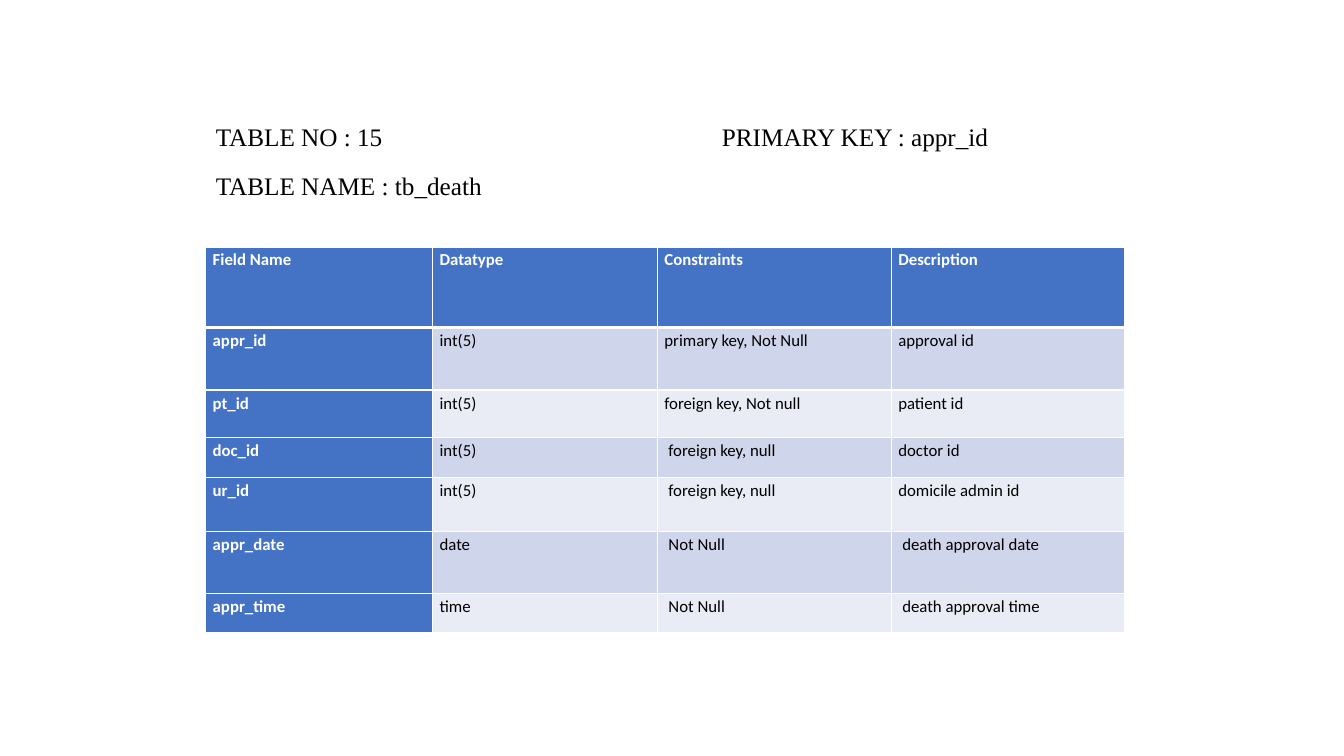
import pptx
import pptx.dml.color
import pptx.enum.text
import pptx.oxml
import pptx.oxml.ns
import pptx.util
from pptx.util import Inches

WHITE, BLACK, BLUE = "FFFFFF", "000000", "4472C4"
BANDS = ("CFD5EA", "E9EBF5")
COLS = (2.25, 2.23, 2.32, 2.31)
HEIGHTS = (0.8, 0.62, 0.47, 0.4, 0.53, 0.62, 0.39)
FIELDS = (
    ("Field Name", "Datatype", "Constraints", "Description"),
    ("appr_id", "int(5)", "primary key, Not Null", "approval id"),
    ("pt_id", "int(5)", "foreign key, Not null", "patient id"),
    ("doc_id", "int(5)", "foreign key, null", "doctor id"),
    ("ur_id", "int(5)", "foreign key, null", "domicile admin id"),
    ("appr_date", "date", "Not Null", "death approval date"),
    ("appr_time", "time", "Not Null", "death approval time"),
)
# Cells (row, column) whose text is set in a little
INSET = {(3, 2), (4, 2), (5, 2), (6, 2), (5, 3), (6, 3)}


def color(code):
    return pptx.dml.color.RGBColor.from_string(code)


def style(para, face, size, ink, bold=False):
    para.line_spacing = 1.15
    para.space_after = pptx.util.Pt(10)
    for run in para.runs:
        run.font.name = face
        run.font.size = pptx.util.Pt(size)
        run.font.bold = bold
        run.font.color.rgb = color(ink)


def add_tab(para, pos):
    """Give the paragraph one left tab stop."""
    para._p.get_or_add_pPr().append(pptx.oxml.parse_xml(
        f'<a:tabLst {pptx.oxml.ns.nsdecls("a")}>'
        f'<a:tab pos="{Inches(pos)}" algn="l"/></a:tabLst>'))


def add_edge(cell, side, width):
    cell._tc.get_or_add_tcPr().append(pptx.oxml.parse_xml(
        f'<a:ln{side} {pptx.oxml.ns.nsdecls("a")} w="{pptx.util.Pt(width)}">'
        f'<a:solidFill><a:srgbClr val="{WHITE}"/></a:solidFill></a:ln{side}>'))


def add_head(slide):
    title = slide.shapes.title
    title.left, title.top = Inches(2.04), Inches(1.11)
    title.width, title.height = Inches(8.36), Inches(0.94)
    frame = title.text_frame
    frame.word_wrap = True
    frame.auto_size = pptx.enum.text.MSO_AUTO_SIZE.NONE
    frame.vertical_anchor = pptx.enum.text.MSO_ANCHOR.TOP
    frame.text = "TABLE NO : 15\tPRIMARY KEY : appr_id\nTABLE NAME : tb_death"
    add_tab(frame.paragraphs[0], 5.02)
    for para in frame.paragraphs:
        para.alignment = pptx.enum.text.PP_ALIGN.LEFT
        style(para, "Times New Roman", 18, BLACK)


def fill_cell(cell, row, col, text):
    head = row == 0
    key = head or col == 0
    cell.margin_left = Inches(0.11 if (row, col) in INSET else 0.07)
    cell.margin_right = Inches(0.07)
    cell.margin_top = cell.margin_bottom = 0
    edges = {"L": 1, "R": 1, "T": 3 if row == 1 else 1, "B": 3 if head else 1}
    for side, width in edges.items():
        add_edge(cell, side, width)
    cell.fill.solid()
    cell.fill.fore_color.rgb = color(BLUE if key else BANDS[(row - 1) % 2])
    cell.text_frame.text = text
    style(cell.text_frame.paragraphs[0], "Calibri", 12,
          WHITE if key else BLACK, key)


def add_grid(slide):
    table = slide.shapes.add_table(
        len(FIELDS), len(COLS), Inches(2.04), Inches(2.45),
        Inches(sum(COLS)), Inches(sum(HEIGHTS))).table
    for col, width in enumerate(COLS):
        table.columns[col].width = Inches(width)
    for row, texts in enumerate(FIELDS):
        table.rows[row].height = Inches(HEIGHTS[row])
        for col, text in enumerate(texts):
            fill_cell(table.cell(row, col), row, col, text)


def main():
    deck = pptx.Presentation()
    deck.slide_width, deck.slide_height = Inches(13.33), Inches(7.5)
    slide = deck.slides.add_slide(deck.slide_layouts.get_by_name("Title Only"))
    add_head(slide)
    add_grid(slide)
    deck.save("out.pptx")


if __name__ == "__main__":
    main()
